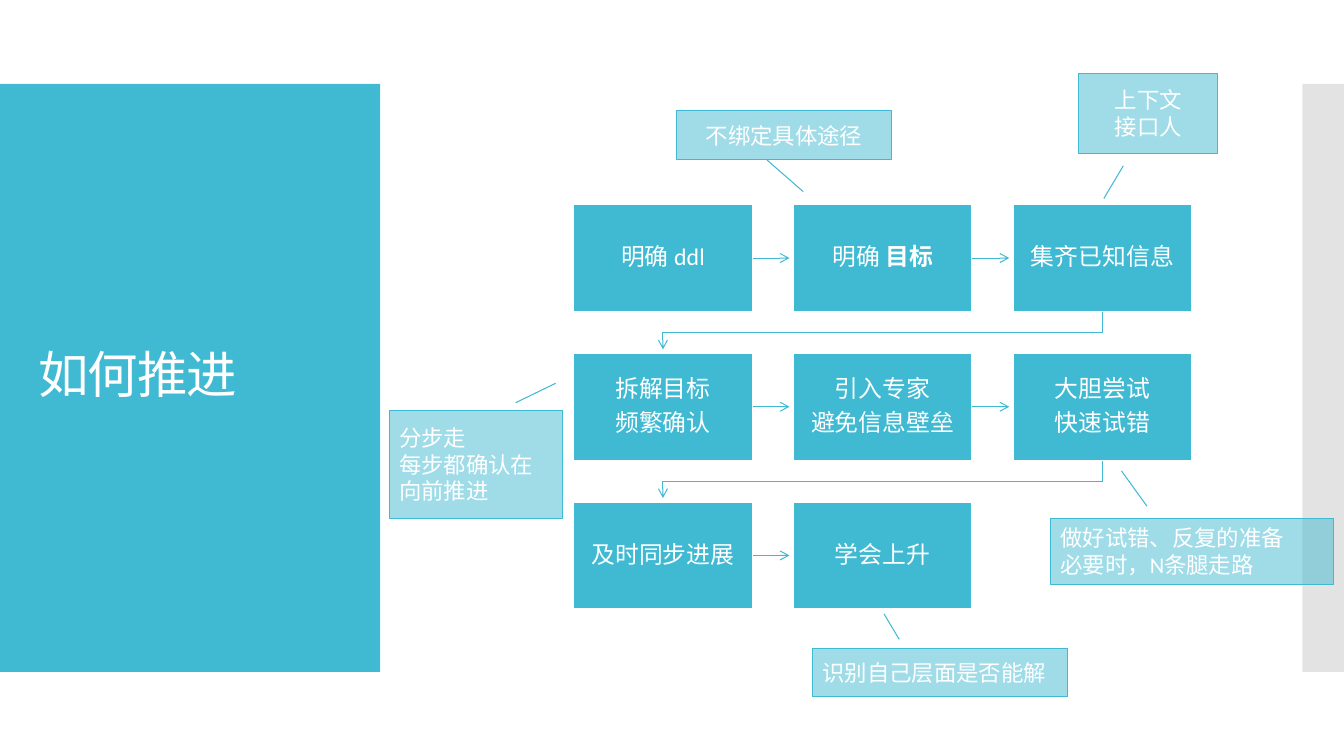
import dataclasses
import itertools

import lxml.etree
import pptx
import pptx.dml.color
import pptx.enum.shapes
import pptx.enum.text
import pptx.oxml.ns
import pptx.util

ALIGN = pptx.enum.text.PP_ALIGN
SHAPE = pptx.enum.shapes.MSO_SHAPE


@dataclasses.dataclass(frozen=True)
class Theme:
    font: str = "Calibri"
    accent: str = "40BAD2"
    side: str = "C8C8C8"
    light: str = "FFFFFF"
    title_size: float = 36
    step_size: float = 17
    note_size: float = 16
    arrow_width: float = 0.75
    edge_width: float = 0.85


@dataclasses.dataclass(frozen=True)
class Area:
    """Percentages of the slide's width and height."""
    left: float
    top: float
    width: float
    height: float

    @property
    def right(self) -> float:
        return self.left + self.width

    @property
    def bottom(self) -> float:
        return self.top + self.height

    @property
    def center(self) -> float:
        return self.left + self.width / 2

    @property
    def middle(self) -> float:
        return self.top + self.height / 2


@dataclasses.dataclass(frozen=True)
class Grid:
    left: float = 42.69
    top: float = 27.07
    column: float = 16.35
    row: float = 19.67
    width: float = 13.28
    height: float = 14.13
    gap_x: float = 0.3
    gap_y: float = 0.53

    def cell(self, column: int, row: int) -> Area:
        return Area(self.left + column * self.column, self.top + row * self.row,
                    self.width, self.height)


@dataclasses.dataclass(frozen=True)
class Callout:
    area: Area
    pointer: tuple[float, float, float, float]
    lines: tuple[str, ...]
    align: ALIGN = ALIGN.LEFT


THEME = Theme()
GRID = Grid()
TITLE_PANEL = Area(0, 11.11, 28.28, 77.78)
SIDE_PANEL = Area(96.9, 11.11, 3.1, 77.78)
TITLE = Area(2.1, 16.4, 24.16, 67.07)
STEPS = (
    (("明确 ddl",), ("明确 *目标*",), ("集齐已知信息",)),
    (("拆解目标", "频繁确认"), ("引入专家", "避免信息壁垒"), ("大胆尝试", "快速试错")),
    (("及时同步进展",), ("学会上升",)),
)
CALLOUTS = (
    Callout(Area(50.34, 14.67, 15.98, 6.4), (1.01, 0.42, 1.67, 0.59),
            ("不绑定具体途径",), ALIGN.CENTER),
    Callout(Area(80.27, 9.73, 10.35, 10.53), (1.16, 0.32, 1.57, 0.18),
            ("上下文", "接口人"), ALIGN.CENTER),
    Callout(Area(28.96, 54.27, 12.9, 14.27), (-0.07, 0.73, -0.25, 0.96),
            ("分步走", "每步都确认在向前推进")),
    Callout(Area(78.17, 68.53, 21.08, 8.8), (-0.18, 0.34, -0.71, 0.25),
            ("做好试错、反复的准备", "必要时，N条腿走路")),
    Callout(Area(60.46, 85.73, 18.98, 6.4), (-0.18, 0.34, -0.71, 0.28),
            ("识别自己层面是否能解",)),
)

deck = pptx.Presentation()
deck.slide_width = pptx.util.Inches(13.33)
deck.slide_height = pptx.util.Inches(7.5)
page = deck.slides.add_slide(deck.slide_layouts[6])


def spot(x: float, y: float) -> tuple[int, int]:
    return round(deck.slide_width * x / 100), round(deck.slide_height * y / 100)


def color(value: str) -> pptx.dml.color.RGBColor:
    return pptx.dml.color.RGBColor.from_string(value)


def add_child(parent, tag: str, **attributes: str):
    child = lxml.etree.SubElement(parent, pptx.oxml.ns.qn(tag))
    for name, value in attributes.items():
        child.set(name, value)
    return child


def write_text(frame, lines: tuple[str, ...], *, size: float, align=ALIGN.LEFT,
               spacing: float = 1, after: float = 0, tracking: int = 0,
               inset: float | None = None) -> None:
    frame.word_wrap = True
    frame.vertical_anchor = pptx.enum.text.MSO_ANCHOR.MIDDLE
    if inset is not None:
        frame.margin_left = frame.margin_right = pptx.util.Inches(inset)
        frame.margin_top = frame.margin_bottom = pptx.util.Inches(inset)
    for number, line in enumerate(lines):
        para = frame.add_paragraph() if number else frame.paragraphs[0]
        para.alignment = align
        para.line_spacing = spacing
        para.space_after = pptx.util.Pt(after)
        for index, words in enumerate(line.split("*")):
            if not words:
                continue
            span = para.add_run()
            span.text = words
            span.font.name = THEME.font
            span.font.size = pptx.util.Pt(size)
            span.font.color.rgb = color(THEME.light)
            if index % 2:
                span.font.bold = True
            if tracking:
                span.font._element.set("spc", str(tracking))


def add_box(area: Area, fill: str, *, kind=SHAPE.RECTANGLE, alpha: int = 100,
            edge: str | None = None, edge_width: float = 0):
    box = page.shapes.add_shape(kind, *spot(area.left, area.top),
                                *spot(area.width, area.height))
    box.shadow.inherit = False
    box.fill.solid()
    box.fill.fore_color.rgb = color(fill)
    if alpha < 100:
        tint = box._element.spPr.find(".//" + pptx.oxml.ns.qn("a:srgbClr"))
        add_child(tint, "a:alpha", val=str(alpha * 1000))
    if edge:
        box.line.color.rgb = color(edge)
        box.line.width = pptx.util.Pt(edge_width)
    else:
        box.line.fill.background()
    return box


def finish_arrow(arrow) -> None:
    arrow.line.color.rgb = color(THEME.accent)
    arrow.line.width = pptx.util.Pt(THEME.arrow_width)
    add_child(arrow.line._get_or_add_ln(), "a:tailEnd", type="arrow")
    add_child(arrow._element.spPr, "a:effectLst")


def add_arrow(start: Area, end: Area) -> None:
    if start.top == end.top:
        arrow = page.shapes.add_connector(
            pptx.enum.shapes.MSO_CONNECTOR.STRAIGHT,
            *spot(start.right, start.middle), *spot(end.left - GRID.gap_x, end.middle))
    else:
        turn = (start.bottom + end.top) / 2
        builder = page.shapes.build_freeform(*spot(start.center, start.bottom))
        builder.add_line_segments(
            [spot(start.center, turn), spot(end.center, turn),
             spot(end.center, end.top - GRID.gap_y)], close=False)
        arrow = builder.convert_to_shape()
        arrow.fill.background()
    finish_arrow(arrow)


def add_step(area: Area, lines: tuple[str, ...]) -> None:
    box = add_box(area, THEME.accent, edge=THEME.light, edge_width=THEME.edge_width)
    write_text(box.text_frame, lines, size=THEME.step_size, align=ALIGN.CENTER,
               spacing=0.9, after=6, inset=0.13)


def add_callout(callout: Callout) -> None:
    box = add_box(callout.area, THEME.accent, kind=SHAPE.LINE_CALLOUT_1, alpha=50,
                  edge=THEME.accent, edge_width=THEME.arrow_width)
    for index, value in enumerate(callout.pointer):
        box.adjustments[index] = value
    write_text(box.text_frame, callout.lines, size=THEME.note_size, align=callout.align)


def main() -> None:
    add_box(TITLE_PANEL, THEME.accent)
    add_box(SIDE_PANEL, THEME.side, alpha=50)
    title = page.shapes.add_textbox(*spot(TITLE.left, TITLE.top),
                                    *spot(TITLE.width, TITLE.height))
    write_text(title.text_frame, ("如何推进",), size=THEME.title_size,
               spacing=0.9, tracking=-60)
    steps = [(GRID.cell(column, row), lines)
             for row, cells in enumerate(STEPS) for column, lines in enumerate(cells)]
    for (start, _), (end, _) in itertools.pairwise(steps):
        add_arrow(start, end)
    for area, lines in steps:
        add_step(area, lines)
    for callout in CALLOUTS:
        add_callout(callout)
    deck.save("out.pptx")


if __name__ == "__main__":
    main()
